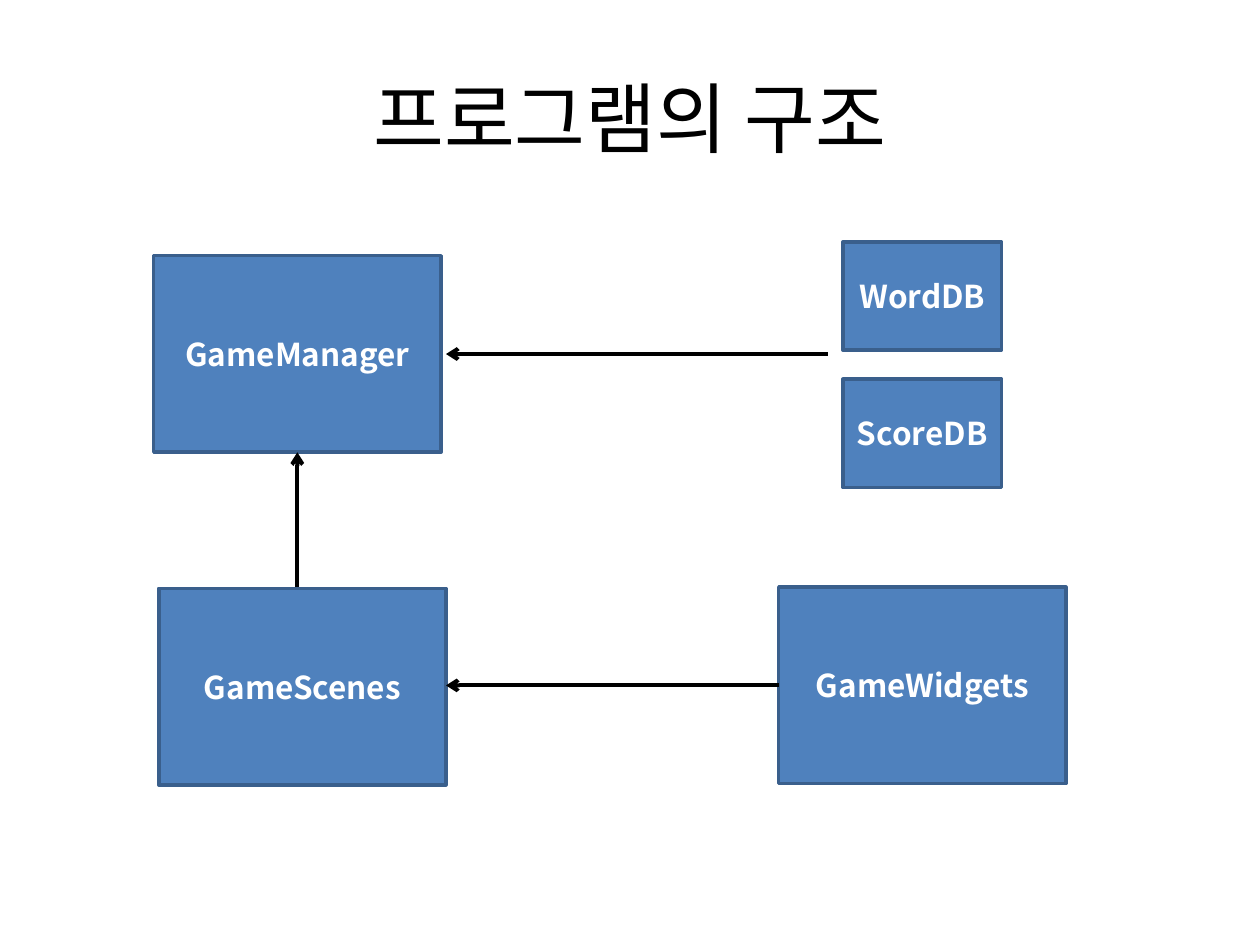
"""Build a slide showing how the modules of a word game depend on each other."""
from lxml.etree import SubElement
from pptx import Presentation
from pptx.dml.color import RGBColor
from pptx.enum.shapes import MSO_CONNECTOR, MSO_SHAPE
from pptx.enum.text import MSO_ANCHOR, PP_ALIGN
from pptx.oxml.ns import qn
from pptx.util import Inches, Pt

COLORS = {"box": "4F81BD", "border": "3A5F8C", "label": "FFFFFF", "ink": "000000"}
FONT = "Noto Sans CJK KR"
MODULE_SIZE = (2.28, 1.56)
DATABASE_SIZE = (1.26, 0.86)


def color(name):
    return RGBColor.from_string(COLORS[name])


def write(frame, text, size, ink, bold):
    frame.vertical_anchor = MSO_ANCHOR.MIDDLE
    paragraph = frame.paragraphs[0]
    paragraph.alignment = PP_ALIGN.CENTER
    run = paragraph.add_run()
    run.text = text
    run.font.size = Pt(size)
    run.font.bold = bold
    run.font.name = FONT
    run.font.color.rgb = color(ink)
    SubElement(run.font._element, qn("a:ea"), typeface=FONT)


prs = Presentation()
prs.slide_width, prs.slide_height = Inches(10), Inches(7.5)
slide = prs.slides.add_slide(prs.slide_layouts[5])

title = slide.shapes.title
title.left, title.top = Inches(0.5), Inches(0.3)
title.width, title.height = Inches(9), Inches(1.25)
write(title.text_frame, "프로그램의 구조", 44, "ink", False)

components = [
    ("GameManager", 1.22, 2.03, MODULE_SIZE),
    ("GameScenes", 1.26, 4.67, MODULE_SIZE),
    ("GameWidgets", 6.18, 4.66, MODULE_SIZE),
    ("WordDB", 6.69, 1.92, DATABASE_SIZE),
    ("ScoreDB", 6.69, 3.01, DATABASE_SIZE),
]
for name, left, top, (width, height) in components:
    component = slide.shapes.add_shape(
        MSO_SHAPE.RECTANGLE, Inches(left), Inches(top), Inches(width), Inches(height)
    )
    component.shadow.inherit = False
    component.fill.solid()
    component.fill.fore_color.rgb = color("box")
    component.line.color.rgb = color("border")
    component.line.width = Pt(2)
    write(component.text_frame, name, 18, "label", True)

dependencies = [
    (2.36, 4.66, 2.36, 3.59),
    (6.18, 5.44, 3.54, 5.44),
    (6.57, 2.81, 3.54, 2.81),
]
for ends in dependencies:
    arrow = slide.shapes.add_connector(MSO_CONNECTOR.STRAIGHT, *map(Inches, ends))
    arrow.line.color.rgb = color("ink")
    arrow.line.width = Pt(2.25)
    SubElement(arrow.line._get_or_add_ln(), qn("a:tailEnd"), type="arrow")
    SubElement(arrow._element.spPr, qn("a:effectLst"))

prs.save("out.pptx")
